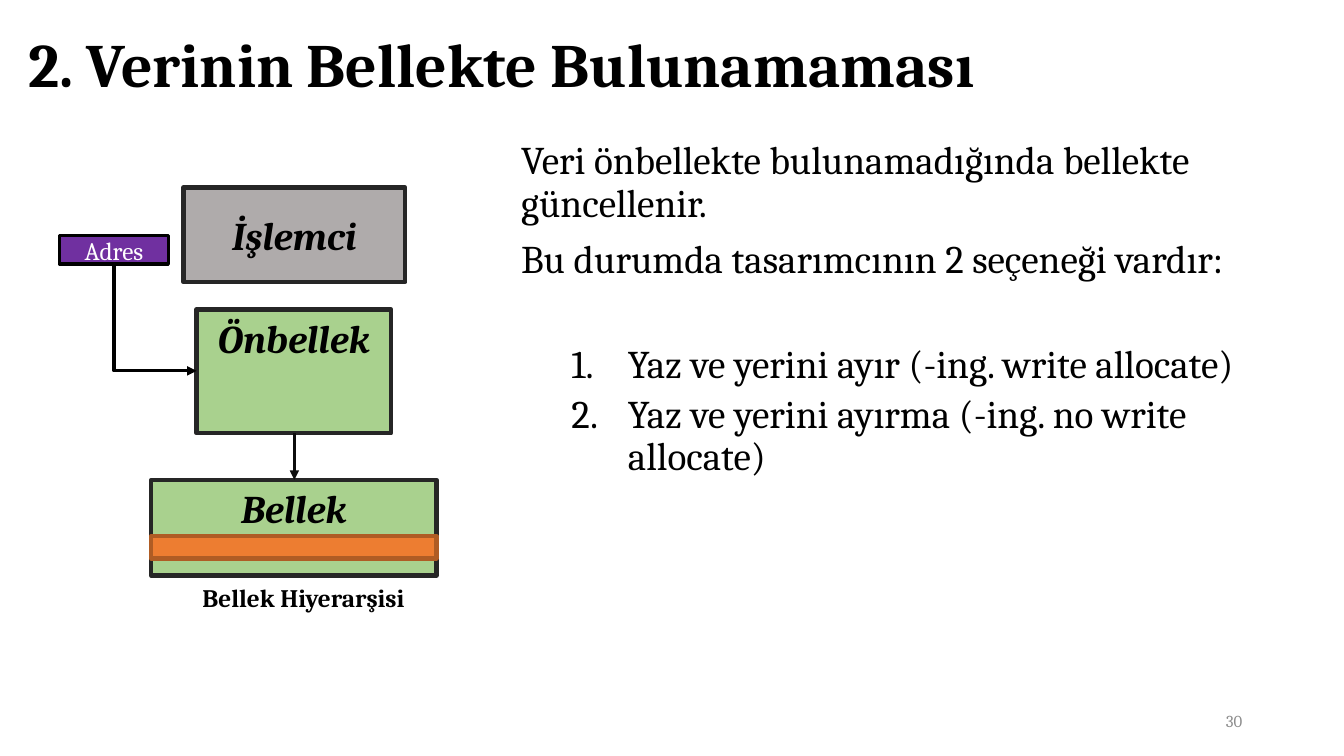
import pptx
import pptx.util
import pptx.dml.color
import pptx.enum.shapes
import pptx.enum.text
import pptx.oxml.ns
from lxml import etree

Inches, Pt = pptx.util.Inches, pptx.util.Pt
RGBColor = pptx.dml.color.RGBColor
ALIGN, ANCHOR = pptx.enum.text.PP_ALIGN, pptx.enum.text.MSO_ANCHOR
CONNECTOR = pptx.enum.shapes.MSO_CONNECTOR
qn = pptx.oxml.ns.qn

BLACK = RGBColor(0x00, 0x00, 0x00)
WHITE = RGBColor(0xFF, 0xFF, 0xFF)
PAGE_GRAY = RGBColor(0x8C, 0x8C, 0x8C)
CPU_GRAY = RGBColor(0xAF, 0xAB, 0xAB)
MEMORY_GREEN = RGBColor(0xA9, 0xD1, 0x8E)
FRAME = RGBColor(0x26, 0x26, 0x26)
ARROW_DARK = RGBColor(0x0D, 0x0D, 0x0D)
PURPLE = RGBColor(0x70, 0x30, 0xA0)
ORANGE = RGBColor(0xED, 0x7D, 0x31)
ORANGE_EDGE = RGBColor(0xAF, 0x5C, 0x24)


def write(paragraph, text, size=28, color=BLACK, bold=False, italic=False,
          align=ALIGN.LEFT, spacing=1.0, before=0, numbered=False):
    """Put formatted text into a paragraph."""
    paragraph.alignment = align
    paragraph.line_spacing = spacing
    paragraph.space_before = Pt(before)
    if numbered:
        properties = paragraph._p.get_or_add_pPr()
        properties.set("marL", str(Inches(1.06)))
        properties.set("indent", str(Inches(-0.56)))
        etree.SubElement(properties, qn("a:buAutoNum"), type="arabicPeriod")
    run = paragraph.add_run()
    run.text = text
    font = run.font
    font.name, font.size = SlideBuilder.FONT, Pt(size)
    font.bold, font.italic = bold, italic
    font.color.rgb = color


class SlideBuilder:
    FONT = "Cambria"

    def __init__(self, slide):
        self.shapes = slide.shapes

    def text(self, left, top, width, height, *paragraphs, anchor=ANCHOR.TOP):
        """Add a text box; each paragraph is a (text, format) pair."""
        box = self.shapes.add_textbox(*map(Inches, (left, top, width, height)))
        frame = box.text_frame
        frame.word_wrap = True
        frame.vertical_anchor = anchor
        for index, (words, style) in enumerate(paragraphs):
            paragraph = frame.add_paragraph() if index else frame.paragraphs[0]
            write(paragraph, words, **style)

    def block(self, left, top, width, height, fill, edge, label="",
              edge_width=3, anchor=ANCHOR.MIDDLE, **style):
        """Add a framed rectangle with an optional centred label."""
        rect = self.shapes.add_shape(
            pptx.enum.shapes.MSO_SHAPE.RECTANGLE,
            *map(Inches, (left, top, width, height)))
        rect.shadow.inherit = False
        rect.fill.solid()
        rect.fill.fore_color.rgb = fill
        rect.line.color.rgb = edge
        rect.line.width = Pt(edge_width)
        rect.text_frame.word_wrap = True
        rect.text_frame.vertical_anchor = anchor
        if label:
            write(rect.text_frame.paragraphs[0], label, align=ALIGN.CENTER, **style)

    def arrow(self, x1, y1, x2, y2, color):
        """Add a straight arrow."""
        return self._arrow(CONNECTOR.STRAIGHT, x1, y1, x2, y2, color)

    def corner_arrow(self, x1, y1, x2, y2, color):
        """Add an arrow that runs down and then right."""
        # The one-bend preset runs right then down: mirror it and turn it by 270°
        mid_x, mid_y = (x1 + x2) / 2, (y1 + y2) / 2
        half_w, half_h = (y2 - y1) / 2, (x2 - x1) / 2
        link = self._arrow(CONNECTOR.ELBOW, mid_x + half_w, mid_y - half_h,
                           mid_x - half_w, mid_y + half_h, color)
        properties = link._element.spPr
        properties.find(qn("a:xfrm")).set("rot", str(270 * 60000))
        properties.find(qn("a:prstGeom")).set("prst", "bentConnector2")

    def _arrow(self, kind, x1, y1, x2, y2, color):
        link = self.shapes.add_connector(kind, *map(Inches, (x1, y1, x2, y2)))
        link.line.color.rgb = color
        link.line.width = Pt(2.25)
        etree.SubElement(link.line._get_or_add_ln(), qn("a:tailEnd"), type="triangle")
        etree.SubElement(link._element.spPr, qn("a:effectLst"))
        return link


def main():
    deck = pptx.Presentation()
    deck.slide_width, deck.slide_height = Inches(13.33), Inches(7.5)
    page = SlideBuilder(deck.slides.add_slide(deck.slide_layouts[6]))

    # Title
    page.text(0.18, 0.15, 12.86, 1.04,
              ("2. Verinin Bellekte Bulunamaması",
               dict(size=44, bold=True, spacing=0.9)),
              anchor=ANCHOR.MIDDLE)

    # Explanation and the two options
    body = dict(spacing=0.9)
    option = dict(spacing=0.9, numbered=True)
    page.text(5.07, 1.35, 7.96, 5.4,
              ("Veri önbellekte bulunamadığında bellekte güncellenir.", body),
              ("Bu durumda tasarımcının 2 seçeneği vardır:", dict(body, before=10)),
              ("Yaz ve yerini ayır (-ing. write allocate)", dict(option, before=45)),
              ("Yaz ve yerini ayırma (-ing. no write allocate)", dict(option, before=5)))

    # Page number
    page.text(9.42, 6.95, 3, 0.4,
              ("30", dict(size=12, color=PAGE_GRAY, align=ALIGN.RIGHT)),
              anchor=ANCHOR.MIDDLE)

    # Memory hierarchy
    heading = dict(bold=True, italic=True)
    page.block(1.82, 1.86, 2.2, 0.94, CPU_GRAY, FRAME, "İşlemci", **heading)
    page.block(1.95, 3.07, 1.93, 1.23, MEMORY_GREEN, FRAME, "Önbellek",
               anchor=ANCHOR.TOP, **heading)
    page.block(1.5, 4.76, 2.83, 0.95, MEMORY_GREEN, FRAME, "Bellek",
               anchor=ANCHOR.TOP, **heading)
    page.text(1.2, 5.73, 3.62, 0.4,
              ("Bellek Hiyerarşisi", dict(size=18, bold=True, align=ALIGN.CENTER)))

    # Address and data flow
    page.block(0.59, 2.34, 1.08, 0.28, PURPLE, BLACK, "Adres",
               edge_width=2.25, size=18, color=WHITE)
    page.corner_arrow(1.13, 2.62, 1.95, 3.68, BLACK)
    page.arrow(2.92, 4.3, 2.92, 4.76, ARROW_DARK)

    # Updated memory row
    page.block(1.5, 5.32, 2.83, 0.22, ORANGE, ORANGE_EDGE)

    deck.save("out.pptx")


if __name__ == "__main__":
    main()
